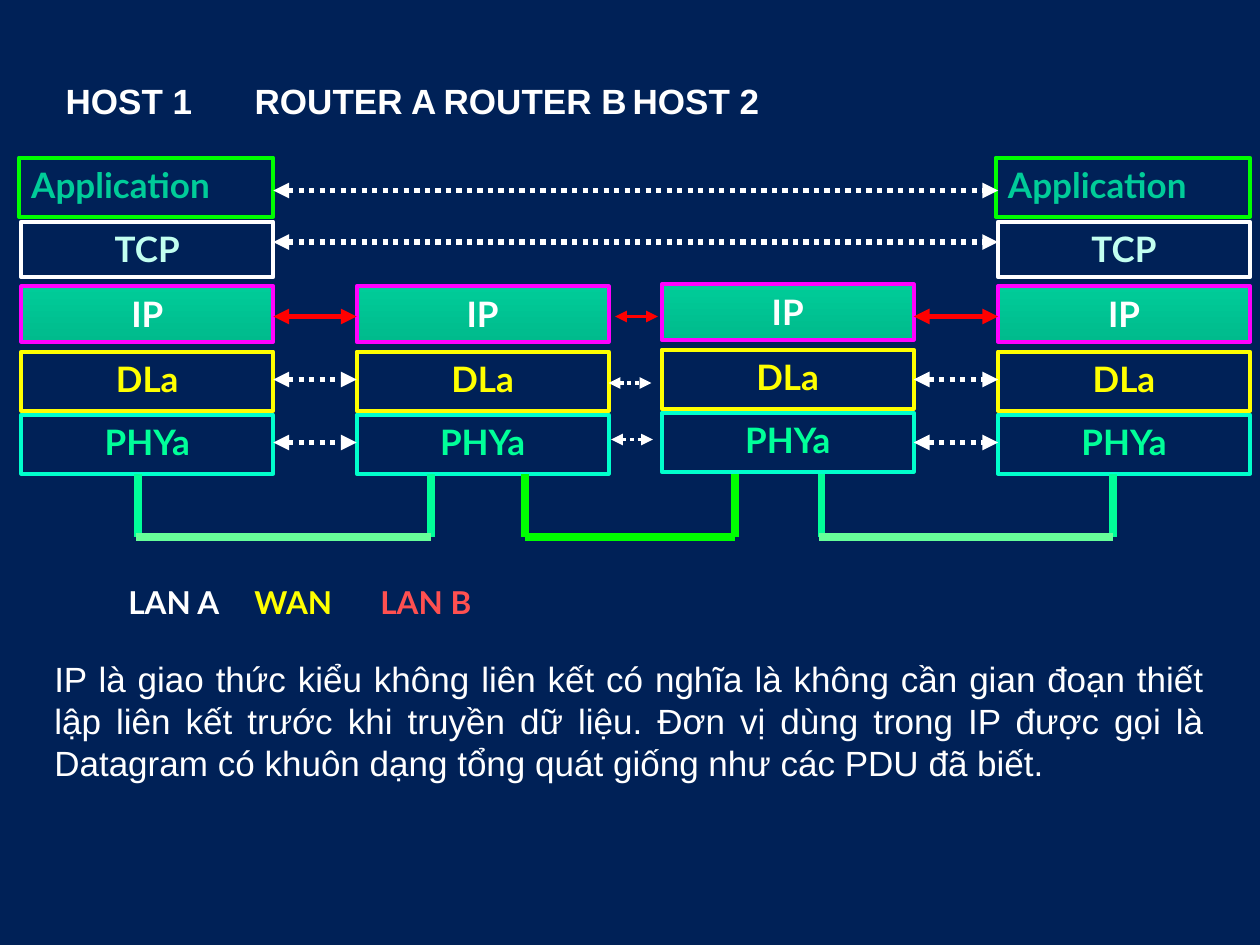
from lxml.etree import SubElement
from pptx import Presentation
from pptx.dml.color import RGBColor
from pptx.enum.dml import MSO_LINE
from pptx.enum.shapes import MSO_CONNECTOR, MSO_SHAPE
from pptx.enum.text import MSO_ANCHOR, MSO_AUTO_SIZE, PP_ALIGN
from pptx.oxml.ns import qn
from pptx.util import Cm, Pt

NAVY = RGBColor(0x00, 0x21, 0x57)
WHITE = RGBColor(0xFF, 0xFF, 0xFF)
LIME = RGBColor(0x00, 0xFF, 0x00)
TEAL = RGBColor(0x00, 0xCC, 0x99)
DEEP = RGBColor(0x00, 0xBB, 0x8C)
PALE = RGBColor(0xC2, 0xFF, 0xF0)
PINK = RGBColor(0xFF, 0x00, 0xFF)
YELLOW = RGBColor(0xFF, 0xFF, 0x00)
AQUA = RGBColor(0x00, 0xFF, 0xCC)
MINT = RGBColor(0x00, 0xFF, 0x99)
LEAF = RGBColor(0x66, 0xFF, 0x99)
RED = RGBColor(0xFF, 0x00, 0x00)
CORAL = RGBColor(0xFF, 0x50, 0x50)

HEADS = [("HOST 1", WHITE), ("\tROUTER A", WHITE),
         ("\tROUTER B", WHITE), ("\tHOST 2", WHITE)]
HEAD_TABS = [5.29, 12.84, 19.87]
NETS = [("\tLAN A", WHITE), ("\tWAN", YELLOW), ("\tLAN B", CORAL)]
NET_TABS = [2.77, 7.97, 12.78]
NOTE = [("IP là giao thức kiểu không liên kết có nghĩa là không cần gian đoạn "
         "thiết lập liên kết trước khi truyền dữ liệu. Đơn vị dùng trong IP "
         "được gọi là Datagram có khuôn dạng tổng quát giống như các PDU "
         "đã biết.", WHITE)]

# name, top, height, line colour, text colour
LAYERS = [
    ("Application", 3.18, 1.19, LIME, TEAL),
    ("TCP", 4.47, 1.12, WHITE, PALE),
    ("IP", 5.77, 1.12, PINK, WHITE),
    ("DLa", 7.09, 1.19, YELLOW, YELLOW),
    ("PHYa", 8.36, 1.19, AQUA, MINT),
]
# left, lift, first layer
STACKS = [(20.12, 0, 0), (7.19, 0, 2), (13.34, 0.04, 2), (0.43, 0, 0)]
BOX_W = 5.08

# left, right, height on the slide, colour, width
HOST_L, ROUTER_L = 5.51, 7.19
ROUTER_R, HOST_R = 18.42, 20.12
LINKS = [(a, b, y, colour, 3)
         for a, b in ((HOST_L, ROUTER_L), (ROUTER_R, HOST_R))
         for y, colour in ((8.92, WHITE), (7.65, WHITE), (6.38, RED))]
LINKS += [(HOST_L, HOST_R, y, WHITE, 3) for y in (4.88, 3.84)]
LINKS += [(12.32, 13.16, 8.86, WHITE, 2.25),
          (12.27, 13.13, 7.72, WHITE, 2.25),
          (12.4, 13.26, 6.38, RED, 2.25)]

# left, right, overhang of the base, leg colour, base colour
CABLES = [(2.79, 8.69, 0.05, MINT, LEAF),
          (16.56, 22.43, 0.05, MINT, LEAF),
          (10.59, 14.81, 0, LIME, LIME)]
LEG_TOP, LEG_END = 9.56, 10.82


def put(item, values):
    for name, value in values.items():
        setattr(item, name, value)


def write(shape, runs, align, face, size, bold, tabs=()):
    frame = shape.text_frame
    put(frame, {"word_wrap": True, "auto_size": MSO_AUTO_SIZE.NONE,
                "vertical_anchor": MSO_ANCHOR.TOP})
    para = frame.paragraphs[0]
    put(para, {"alignment": align, "space_before": Pt(0)})
    props = para._p.get_or_add_pPr()
    put_flush = {"marL": "0", "indent": "0"}
    for name, value in put_flush.items():
        props.set(name, value)
    SubElement(props, qn("a:buNone"))
    if tabs:
        stops = SubElement(props, qn("a:tabLst"))
        for tab in tabs:
            SubElement(stops, qn("a:tab"), pos=str(Cm(tab)), algn="l")
    for text, colour in runs:
        run = para.add_run()
        run.text = text
        put(run.font, {"name": face, "size": Pt(size), "bold": bold})
        run.font.color.rgb = colour


def place(shape, left, top, width, height):
    put(shape, {"left": Cm(left), "top": Cm(top),
                "width": Cm(width), "height": Cm(height)})


def draw_box(slide, left, top, width, layer):
    name, _, height, edge, ink = layer
    box = slide.shapes.add_shape(MSO_SHAPE.RECTANGLE, Cm(left), Cm(top),
                                 Cm(width), Cm(height))
    box.shadow.inherit = False
    box.line.color.rgb = edge
    box.line.width = Pt(2.25)
    if name == "IP":
        box.fill.gradient()
        box.fill.gradient_angle = 270
        for stop, colour in zip(box.fill.gradient_stops, (TEAL, DEEP)):
            stop.color.rgb = colour
    else:
        box.fill.background()
    align = PP_ALIGN.LEFT if name == "Application" else PP_ALIGN.CENTER
    write(box, [(name, ink)], align, "Lato", 20, True)


def draw_line(slide, start, end, colour, width):
    wire = slide.shapes.add_connector(MSO_CONNECTOR.STRAIGHT,
                                      *map(Cm, start + end))
    wire.line.color.rgb = colour
    wire.line.width = Pt(width)
    SubElement(wire._element.spPr, qn("a:effectLst"))
    return wire.line


def main():
    deck = Presentation()
    put(deck, {"slide_width": Cm(25.4), "slide_height": Cm(19.05)})
    slide = deck.slides.add_slide(deck.slide_layouts[1])
    slide.background.fill.solid()
    slide.background.fill.fore_color.rgb = NAVY

    title, body = slide.placeholders
    place(title, 1.07, 1.47, 23.7, 1.07)
    write(title, HEADS, PP_ALIGN.LEFT, "Arial", 20, True, HEAD_TABS)
    place(body, 0.84, 13.13, 23.7, 2.74)
    write(body, NOTE, PP_ALIGN.JUSTIFY, "Arial", 20, False)

    for left, lift, first in STACKS:
        for layer in LAYERS[first:]:
            extra = 0.05 if layer[0] == "Application" else 0
            draw_box(slide, left - extra, layer[1] - lift,
                     BOX_W + extra, layer)

    for left, right, y, colour, width in LINKS:
        line = draw_line(slide, (left, y), (right, y), colour, width)
        if colour == WHITE:
            line.dash_style = MSO_LINE.ROUND_DOT
        for end in ("a:headEnd", "a:tailEnd"):
            SubElement(line._ln, qn(end), type="triangle")

    for left, right, over, leg, base in CABLES:
        for x in (left, right):
            draw_line(slide, (x, LEG_TOP), (x, LEG_END), leg, 4.5)
        draw_line(slide, (left - over, LEG_END), (right, LEG_END), base, 4.5)

    nets = slide.shapes.add_textbox(Cm(1.07), Cm(11.63), Cm(23.7), Cm(1.07))
    write(nets, NETS, PP_ALIGN.LEFT, "Lato", 18, True, NET_TABS)
    deck.save("out.pptx")


if __name__ == "__main__":
    main()
